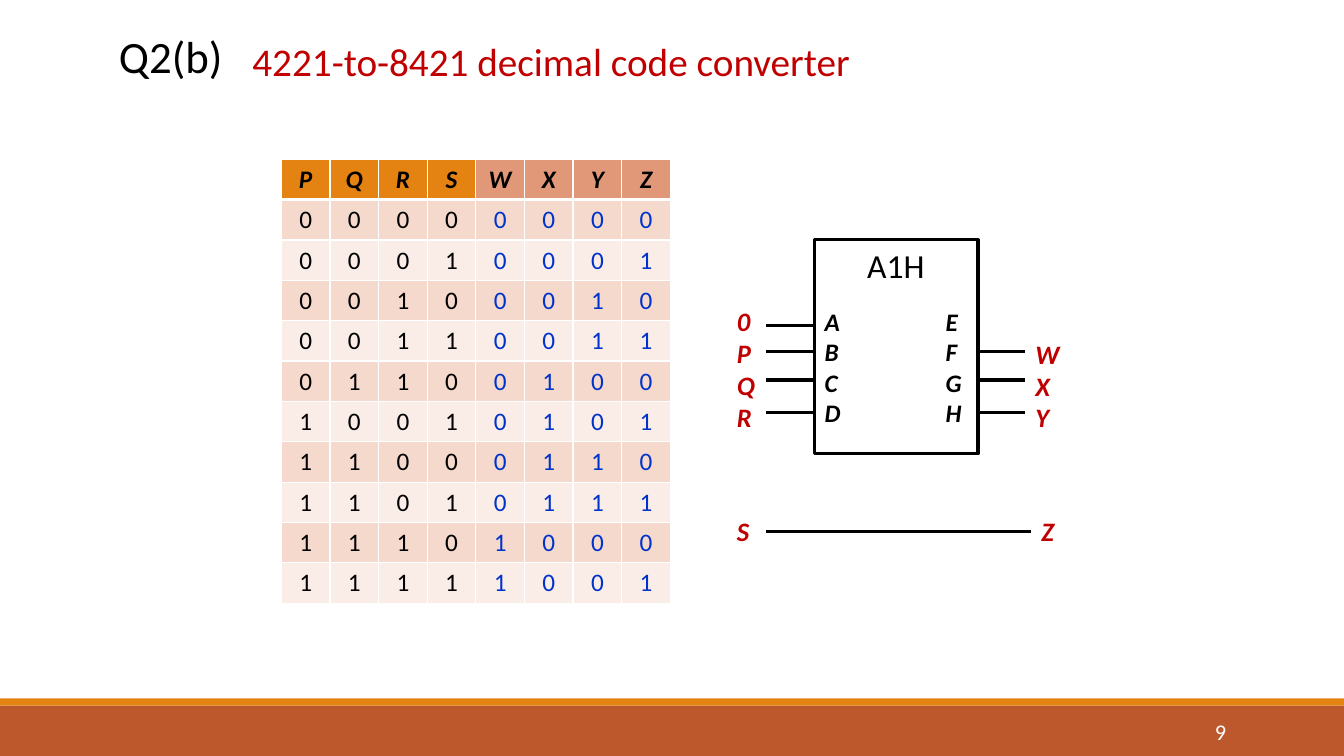
from lxml import etree
from pptx import Presentation
from pptx.dml.color import RGBColor
from pptx.enum.shapes import MSO_CONNECTOR, MSO_SHAPE
from pptx.enum.text import MSO_ANCHOR, PP_ALIGN
from pptx.oxml.ns import qn
from pptx.util import Inches, Pt

LEFT, CENTER, RIGHT = PP_ALIGN.LEFT, PP_ALIGN.CENTER, PP_ALIGN.RIGHT
TOP, MIDDLE = MSO_ANCHOR.TOP, MSO_ANCHOR.MIDDLE
RECTANGLE, STRAIGHT = MSO_SHAPE.RECTANGLE, MSO_CONNECTOR.STRAIGHT

BLACK = RGBColor(0x00, 0x00, 0x00)
WHITE = RGBColor(0xFF, 0xFF, 0xFF)
RED = RGBColor(0xC0, 0x00, 0x00)
BLUE = RGBColor(0x00, 0x33, 0xCC)
RUST = RGBColor(0xBD, 0x58, 0x2C)
ORANGE = RGBColor(0xE4, 0x83, 0x12)
SALMON = RGBColor(0xE0, 0x98, 0x78)
DARK_BAND = RGBColor(0xF5, 0xD9, 0xCC)
LIGHT_BAND = RGBColor(0xFA, 0xED, 0xE7)

INPUT_COUNT = 4
TRUTH_TABLE = [
    "PQRSWXYZ",
    "00000000",
    "00010001",
    "00100010",
    "00110011",
    "01100100",
    "10010101",
    "11000110",
    "11010111",
    "11101000",
    "11111001",
]


class SlideBuilder:
    font_name = "Calibri"
    line_width = Pt(2.25)

    def __init__(self, presentation):
        self.slide = presentation.slides.add_slide(presentation.slide_layouts[5])

    def fill_text(self, text_frame, lines, size, color, align=LEFT, strong=False):
        text_frame.text = "\n".join(lines)
        for paragraph in text_frame.paragraphs:
            paragraph.alignment = align
            for run in paragraph.runs:
                font = run.font
                font.name, font.size = self.font_name, Pt(size)
                font.bold = font.italic = strong
                font.color.rgb = color

    def title(self, text, left, top, width, height, size):
        title = self.slide.shapes.title
        title.left, title.top = Inches(left), Inches(top)
        title.width, title.height = Inches(width), Inches(height)
        self.fill_text(title.text_frame, [text], size, BLACK)
        title.text_frame.vertical_anchor = TOP
        title.text_frame.paragraphs[0].line_spacing = 0.9

    def text(self, lines, left, top, width, height, size, color,
             align=LEFT, strong=False, anchor=TOP):
        box = self.slide.shapes.add_textbox(
            Inches(left), Inches(top), Inches(width), Inches(height))
        box.text_frame.word_wrap = True
        box.text_frame.vertical_anchor = anchor
        self.fill_text(box.text_frame, lines, size, color, align, strong)

    def rectangle(self, left, top, width, height, fill=None):
        shape = self.slide.shapes.add_shape(
            RECTANGLE, Inches(left), Inches(top), Inches(width), Inches(height))
        shape.shadow.inherit = False
        if fill is None:
            shape.fill.background()
            shape.line.color.rgb = BLACK
            shape.line.width = self.line_width
        else:
            shape.fill.solid()
            shape.fill.fore_color.rgb = fill
            shape.line.fill.background()

    def wire(self, start, end, y):
        wire = self.slide.shapes.add_connector(
            STRAIGHT, Inches(start), Inches(y), Inches(end), Inches(y))
        wire.line.color.rgb = BLACK
        wire.line.width = self.line_width
        etree.SubElement(wire._element.spPr, qn("a:effectLst"))

    def cell_border(self, cell, side, points):
        properties = cell._tc.get_or_add_tcPr()
        border = etree.SubElement(properties, qn(f"a:ln{side}"), w=str(Pt(points)))
        fill = etree.SubElement(border, qn("a:solidFill"))
        etree.SubElement(fill, qn("a:srgbClr"), val=str(WHITE))

    def table(self, rows, left, top, column_width, row_height):
        row_count, column_count = len(rows), len(rows[0])
        table = self.slide.shapes.add_table(
            row_count, column_count, Inches(left), Inches(top),
            Inches(column_width * column_count), Inches(row_height * row_count)).table
        for row_index, row in enumerate(rows):
            header = row_index == 0
            for column_index, value in enumerate(row):
                cell = table.cell(row_index, column_index)
                is_input = column_index < INPUT_COUNT
                if header:
                    fill = ORANGE if is_input else SALMON
                else:
                    fill = DARK_BAND if row_index % 2 else LIGHT_BAND
                color = BLACK if header or is_input else BLUE
                self.fill_text(cell.text_frame, [value], 18, color, CENTER, header)
                for side in "LRTB":
                    under_header = (row_index, side) in ((0, "B"), (1, "T"))
                    self.cell_border(cell, side, 3 if under_header else 1)
                cell.fill.solid()
                cell.fill.fore_color.rgb = fill


def main():
    presentation = Presentation()
    presentation.slide_width, presentation.slide_height = Inches(13.33), Inches(7.5)
    builder = SlideBuilder(presentation)

    # Footer bars and slide number
    builder.rectangle(0, 7, 13.33, 0.5, RUST)
    builder.rectangle(0, 6.93, 13.33, 0.07, ORANGE)
    builder.text(["9"], 10.83, 7.06, 1.43, 0.4, 16, WHITE, RIGHT, anchor=MIDDLE)

    # Heading
    builder.title("Q2(b)", 1.08, 0.29, 1.34, 0.63, 32)
    builder.text(["4221-to-8421 decimal code converter"],
                 2.29, 0.32, 6.35, 0.57, 28, RED, CENTER)

    # Truth table
    builder.table(TRUTH_TABLE, 2.79, 1.58, 3.86 / 8, 0.4)

    # Converter block with its pin names
    builder.rectangle(8.08, 2.38, 1.62, 2.12)
    builder.text(["A1H"], 8.33, 2.38, 1.11, 0.5, 24, BLACK, CENTER)
    for pins, left in (("ABCD", 8.08), ("EFGH", 9.28)):
        builder.text(pins, left, 2.99, 0.5, 1.31, 18, BLACK, strong=True)

    # Wires: four inputs, three outputs, and S straight to Z
    wire_heights = [3.23, 3.49, 3.77, 4.09]
    for y in wire_heights:
        builder.wire(7.6, 8.08, y)
    for y in wire_heights[1:]:
        builder.wire(9.69, 10.17, y)
    builder.wire(7.6, 10.23, 5.27)

    # Signal names
    for signals, left, top, height in (
            ("0PQR", 7.21, 2.98, 1.38), ("WXY", 10.17, 3.3, 1.06),
            ("S", 7.21, 5.06, 0.42), ("Z", 10.23, 5.06, 0.42)):
        builder.text(signals, left, top, 0.35, height, 19, RED, strong=True)

    presentation.save("out.pptx")


if __name__ == "__main__":
    main()
